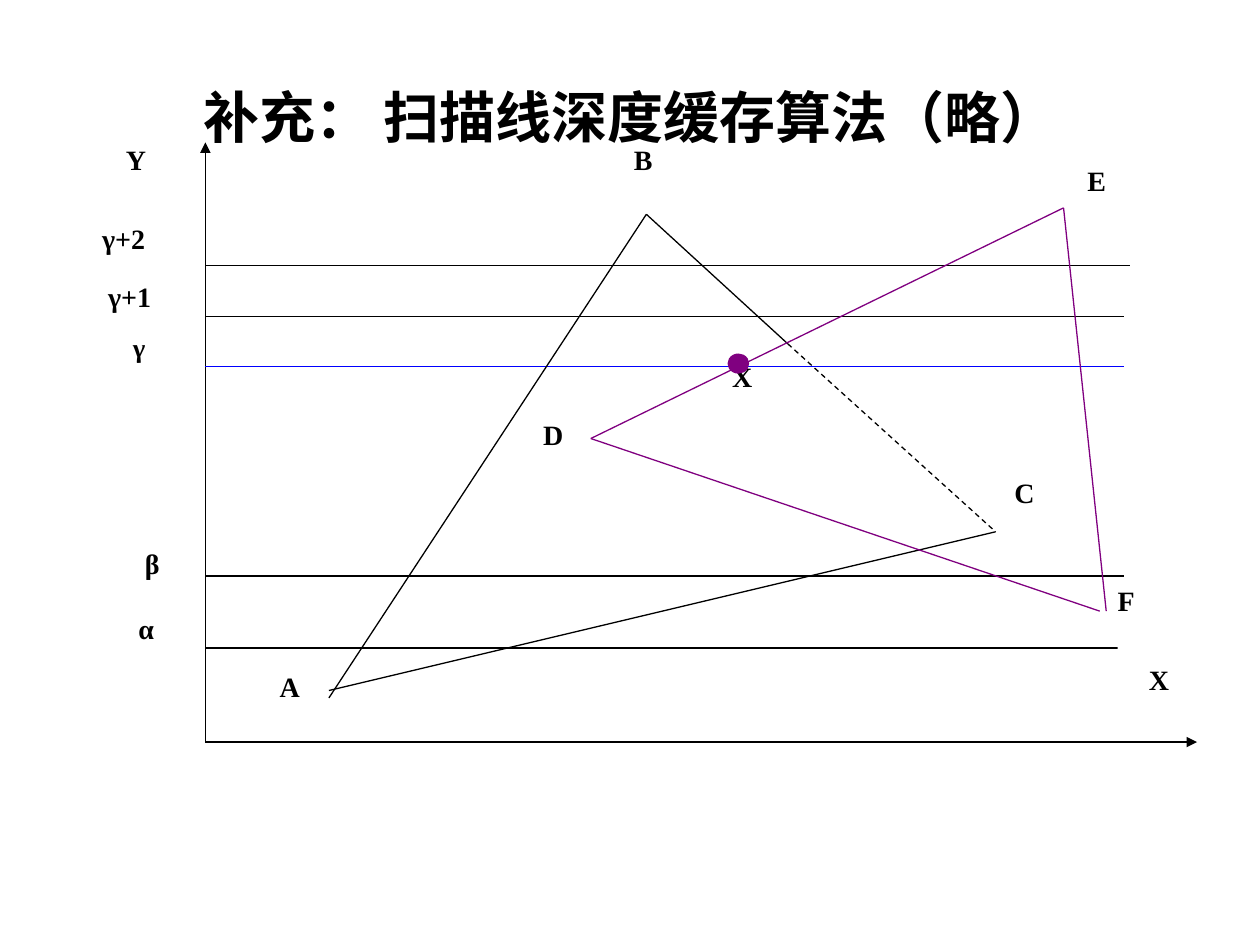
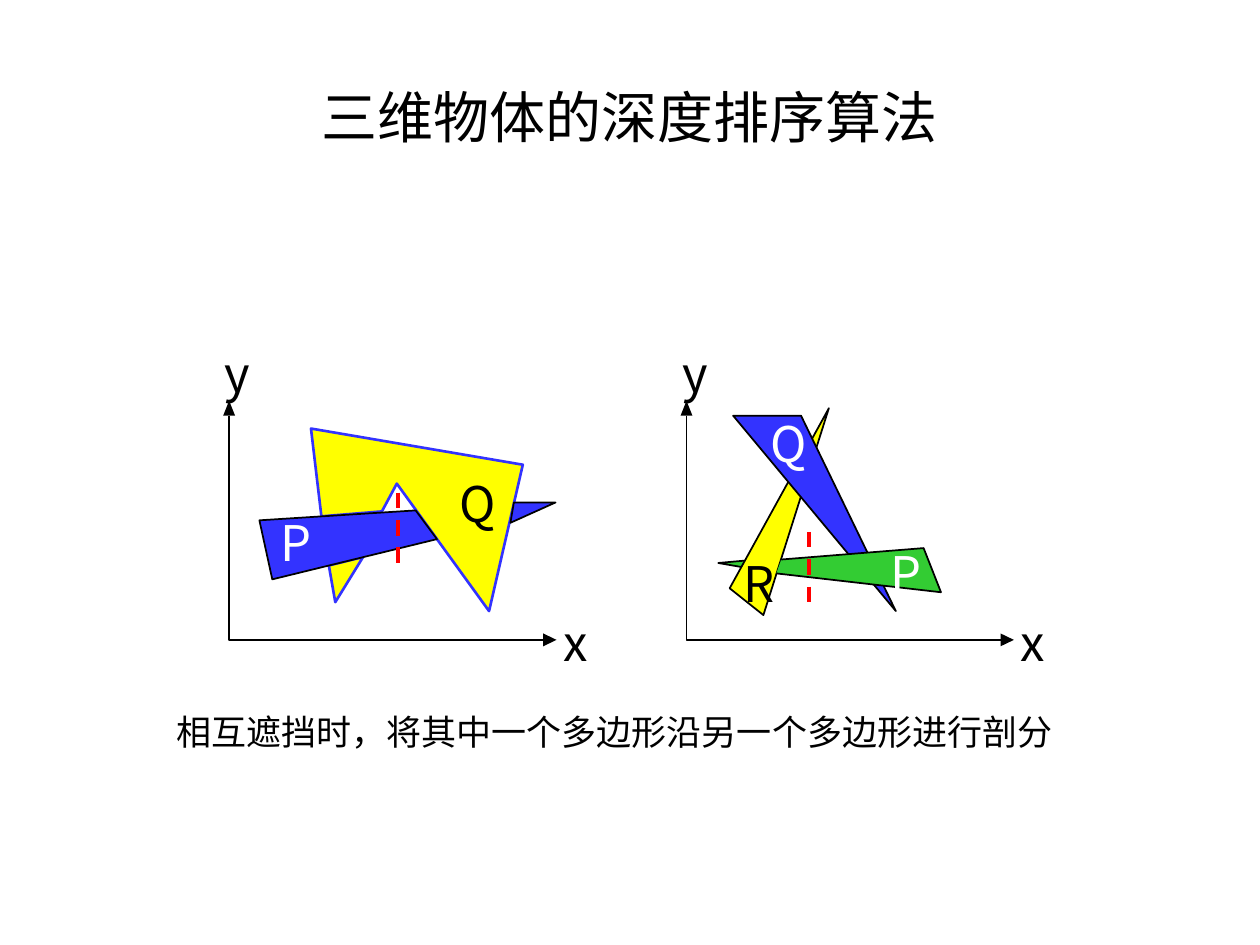
from pptx import Presentation
from pptx.dml.color import RGBColor
from pptx.enum.dml import MSO_LINE
from pptx.enum.shapes import MSO_CONNECTOR, MSO_SHAPE
from pptx.enum.text import MSO_ANCHOR, MSO_AUTO_SIZE, PP_ALIGN
from pptx.oxml.ns import qn
from pptx.util import Cm, Pt
from lxml.etree import SubElement

BLACK = RGBColor(0x00, 0x00, 0x00)
WHITE = RGBColor(0xFF, 0xFF, 0xFF)
SCAN_BLUE = RGBColor(0x00, 0x00, 0xFF)
PURPLE = RGBColor(0x80, 0x00, 0x80)
YELLOW = RGBColor(0xFF, 0xFF, 0x00)
BLUE = RGBColor(0x33, 0x33, 0xFF)
GREEN = RGBColor(0x33, 0xCC, 0x33)
RED = RGBColor(0xFF, 0x00, 0x00)
SERIF = "Times New Roman"
SANS = "Noto Sans CJK SC"

TITLE = {"size": Pt(32), "bold": False, "name": SANS}
POINT_LABEL = {"size": Pt(16), "bold": True, "name": SERIF}
PLANE_LABEL = {"size": Pt(28), "name": SANS}
CAPTION = {"size": Pt(20), "name": SANS}


def set_text(shape, text, fmt, align=PP_ALIGN.LEFT, color=BLACK):
    p = shape.text_frame.paragraphs[0]
    p.alignment = align
    r = p.add_run()
    r.text = text
    for key, value in fmt.items():
        setattr(r.font, key, value)
    r.font.color.rgb = color
    SubElement(r.font._element, qn("a:ea")).set("typeface", SANS)


def add_line(s, start, end, color=BLACK, width=0.75, dash=False, arrow=False):
    ends = [Cm(v) for v in (*start, *end)]
    c = s.shapes.add_connector(MSO_CONNECTOR.STRAIGHT, *ends)
    c.line.color.rgb = color
    c.line.width = Pt(width)
    if dash:
        c.line.dash_style = MSO_LINE.DASH
    if arrow:
        SubElement(c.line._get_or_add_ln(), qn("a:tailEnd")).set("type", "triangle")
    SubElement(c._element.spPr, qn("a:effectLst"))


prs = Presentation()
prs.slide_width, prs.slide_height = Cm(25.4), Cm(19.05)

# Slides with their titles
slides = []
for text, fmt in (
    ("补充： 扫描线深度缓存算法（略）", {**TITLE, "name": SERIF, "bold": True}),
    ("三维物体的深度排序算法", TITLE),
):
    s = prs.slides.add_slide(prs.slide_layouts[5])
    title = s.shapes.title
    title.left, title.top, title.width, title.height = Cm(1.27), Cm(0.76), Cm(22.86), Cm(3.18)
    title.text_frame.vertical_anchor = MSO_ANCHOR.MIDDLE
    set_text(title, text, fmt, PP_ALIGN.CENTER)
    slides.append(s)
scan_slide, sort_slide = slides

# Slide 1: labels behind and in front of the lines
s = scan_slide
back_labels = [
    ("X", 14.76, 7.24, 1.24, 1.32), ("β", 2.92, 11.02, 1.24, 1.32),
    ("A", 5.64, 13.49, 1.24, 1.32), ("D", 10.95, 8.41, 1.24, 1.32),
    ("X", 23.16, 13.36, 1.24, 1.32),
]
front_labels = [
    ("Y", 2.54, 2.87, 1.24, 1.32), ("B", 12.78, 2.87, 1.24, 1.32),
    ("E", 21.92, 3.3, 1.24, 1.32), ("F", 22.53, 11.76, 1.24, 1.32),
    ("C", 20.45, 9.58, 1.24, 1.32), ("α", 2.79, 12.32, 0.86, 1.17),
    ("γ", 2.67, 6.65, 1.24, 1.32), ("γ+1", 2.18, 5.64, 1.73, 1.32),
    ("γ+2", 2.06, 4.47, 1.85, 1.17),
]
for labels in (back_labels, front_labels):
    for text, *box in labels:
        sp = s.shapes.add_shape(MSO_SHAPE.RECTANGLE, *[Cm(v) for v in box])
        sp.shadow.inherit = False
        sp.fill.solid()
        sp.fill.fore_color.rgb = WHITE
        sp.line.fill.background()
        tf = sp.text_frame
        tf.vertical_anchor = MSO_ANCHOR.TOP
        tf.margin_left = tf.margin_right = tf.margin_top = tf.margin_bottom = 0
        set_text(sp, text, POINT_LABEL, PP_ALIGN.JUSTIFY)
    if labels is front_labels:
        break

    # Axes and scan lines
    origin = (4.14, 14.96)
    for end in ((24.13, 14.96), (4.14, 2.87)):
        add_line(s, origin, end, arrow=True)
    for y, right, color in ((13.06, 22.78, BLACK), (11.61, 22.66, BLACK),
                            (7.39, 22.66, SCAN_BLUE), (6.38, 22.66, BLACK),
                            (5.35, 22.78, BLACK)):
        add_line(s, (origin[0], y), (right, y), color)

    # Triangles ABC and DEF
    b, hidden_from, c = (13.03, 4.32), (15.88, 6.93), (20.07, 10.72)
    d, e = (11.91, 8.84), (21.44, 4.19)
    for start, end, color, dash in (
        ((6.63, 14.07), b, BLACK, False), (b, hidden_from, BLACK, False),
        (hidden_from, c, BLACK, True), (c, (6.63, 13.92), BLACK, False),
        (e, d, PURPLE, False), (d, (22.17, 12.32), PURPLE, False),
        ((22.3, 12.32), e, PURPLE, False),
    ):
        add_line(s, start, end, color, dash=dash)

# Intersection dot, then the title on top
dot = s.shapes.add_shape(MSO_SHAPE.OVAL, Cm(14.68), Cm(7.14), Cm(0.41), Cm(0.38))
dot.shadow.inherit = False
dot.fill.solid()
dot.fill.fore_color.rgb = dot.line.color.rgb = PURPLE
dot.line.width = Pt(0.75)
s.shapes._spTree.append(s.shapes.title._element)

# Slide 2: polygons as points, fill, line colour, line width, closed
s = sort_slide
polygons = [
    ([(6.48, 10.41), (6.27, 8.64), (10.54, 9.37), (9.86, 12.32), (8, 9.75), (7.7, 10.31)],
     YELLOW, BLUE, 1.5, True),
    ([(7.32, 11.23), (6.76, 12.14), (6.63, 11.4)], YELLOW, BLUE, 1.5, True),
    ([(8.38, 10.29), (5.23, 10.49), (5.49, 11.68), (8.81, 10.87)], BLUE, BLACK, 1, True),
    ([(10.36, 10.13), (11.2, 10.13), (10.29, 10.54)], BLUE, BLACK, 1, True),
    ([(14.94, 11.43), (14.48, 11.35), (15.04, 11.3)], GREEN, BLACK, 1, False),
    ([(14.71, 11.86), (16.71, 8.23), (15.39, 12.4)], YELLOW, BLACK, 1, True),
    ([(14.78, 8.38), (16.15, 8.38), (18.06, 12.32)], BLUE, BLACK, 1, True),
    ([(15.75, 11.28), (18.62, 11.05), (18.97, 11.94), (15.65, 11.56)], GREEN, BLACK, 1, False),
]
plane_labels = [
    ("Q", 9.02, 9.55, 1.02, BLACK), ("P", 5.41, 10.34, 0.94, WHITE),
    ("R", 14.73, 11.15, 0.97, BLACK), ("P", 17.7, 10.95, 0.94, WHITE),
    ("Q", 15.29, 8.33, 1.02, WHITE),
]

# Axes of both diagrams
axis_y = 12.9
for x0 in (4.62, 13.84):
    polygons += [
        ([(x0 - 0.12, 8.38), (x0 + 0.12, 8.38), (x0, 8.08)], BLACK, None, 0, True),
        ([(x0 + 6.33, axis_y - 0.13), (x0 + 6.33, axis_y + 0.13), (x0 + 6.6, axis_y)],
         BLACK, None, 0, True),
        ([(x0, 8.38), (x0, axis_y), (x0 + 6.36, axis_y)], None, BLACK, 1, False),
    ]
    plane_labels += [("x", x0 + 6.49, 12.34, 0.84, BLACK), ("y", x0 - 0.34, 6.93, 0.84, BLACK)]

for points, fill, color, width, closed in polygons:
    first, *rest = [(Cm(x), Cm(y)) for x, y in points]
    fb = s.shapes.build_freeform(*first)
    fb.add_line_segments(rest, close=closed)
    sp = fb.convert_to_shape()
    sp.shadow.inherit = False
    if fill is None:
        sp.fill.background()
    else:
        sp.fill.solid()
        sp.fill.fore_color.rgb = fill
    if color is None:
        sp.line.fill.background()
    else:
        sp.line.color.rgb = color
        sp.line.width = Pt(width)

for text, x, y, width, color in plane_labels:
    sp = s.shapes.add_textbox(Cm(x), Cm(y), Cm(width), Cm(1.02))
    tf = sp.text_frame
    tf.word_wrap, tf.auto_size, tf.margin_top = False, MSO_AUTO_SIZE.SHAPE_TO_FIT_TEXT, 0
    set_text(sp, text, PLANE_LABEL, color=color)

# Cutting lines and caption
for x, top in ((8.03, 9.93), (16.31, 10.72)):
    add_line(s, (x, top), (x, top + 1.6), RED, 2.25, dash=True)
sp = s.shapes.add_textbox(Cm(3.3), Cm(14.33), Cm(18.8), Cm(1.12))
tf = sp.text_frame
tf.word_wrap, tf.auto_size, tf.margin_top = True, MSO_AUTO_SIZE.SHAPE_TO_FIT_TEXT, 0
set_text(sp, "相互遮挡时，将其中一个多边形沿另一个多边形进行剖分", CAPTION)

prs.save("out.pptx")
